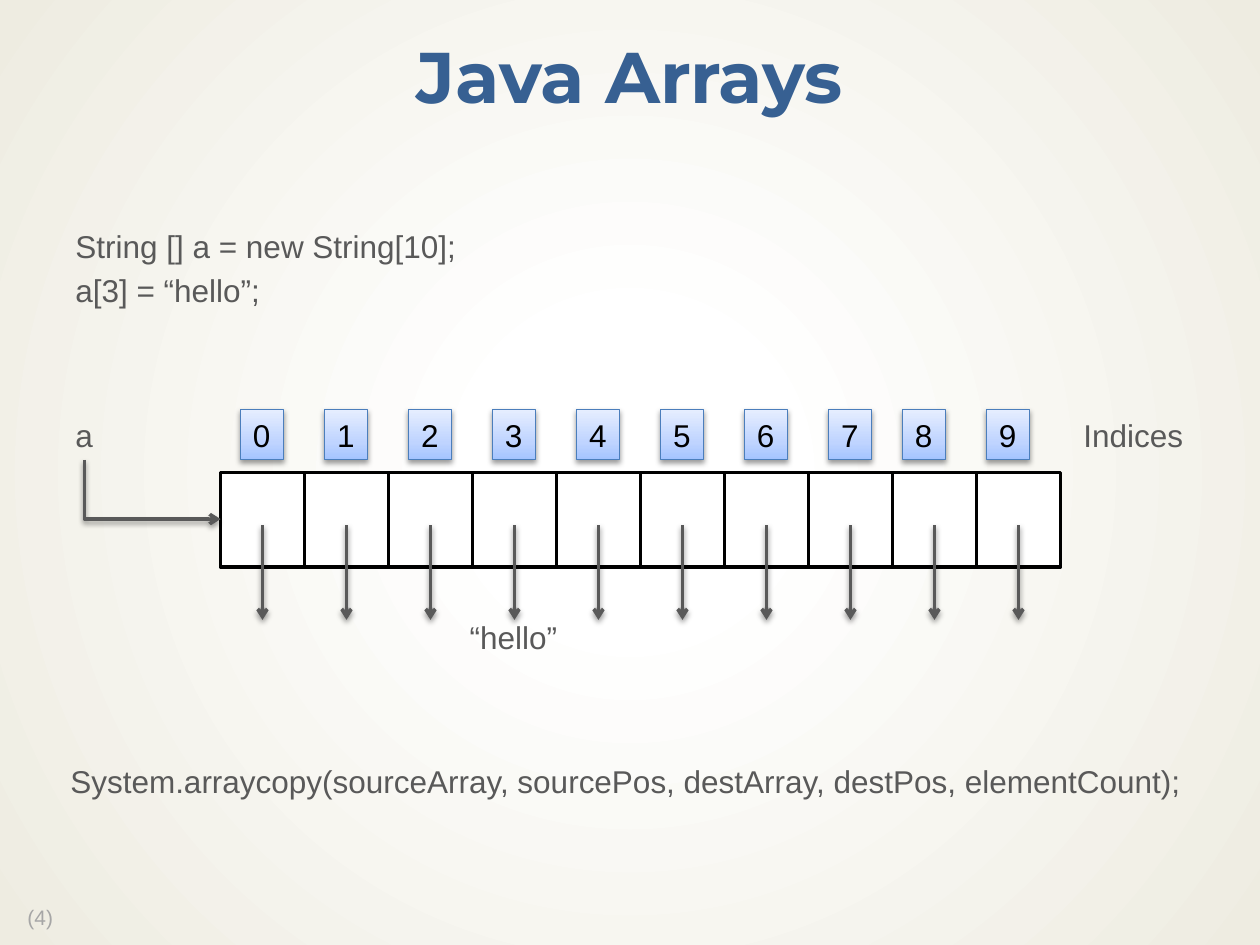
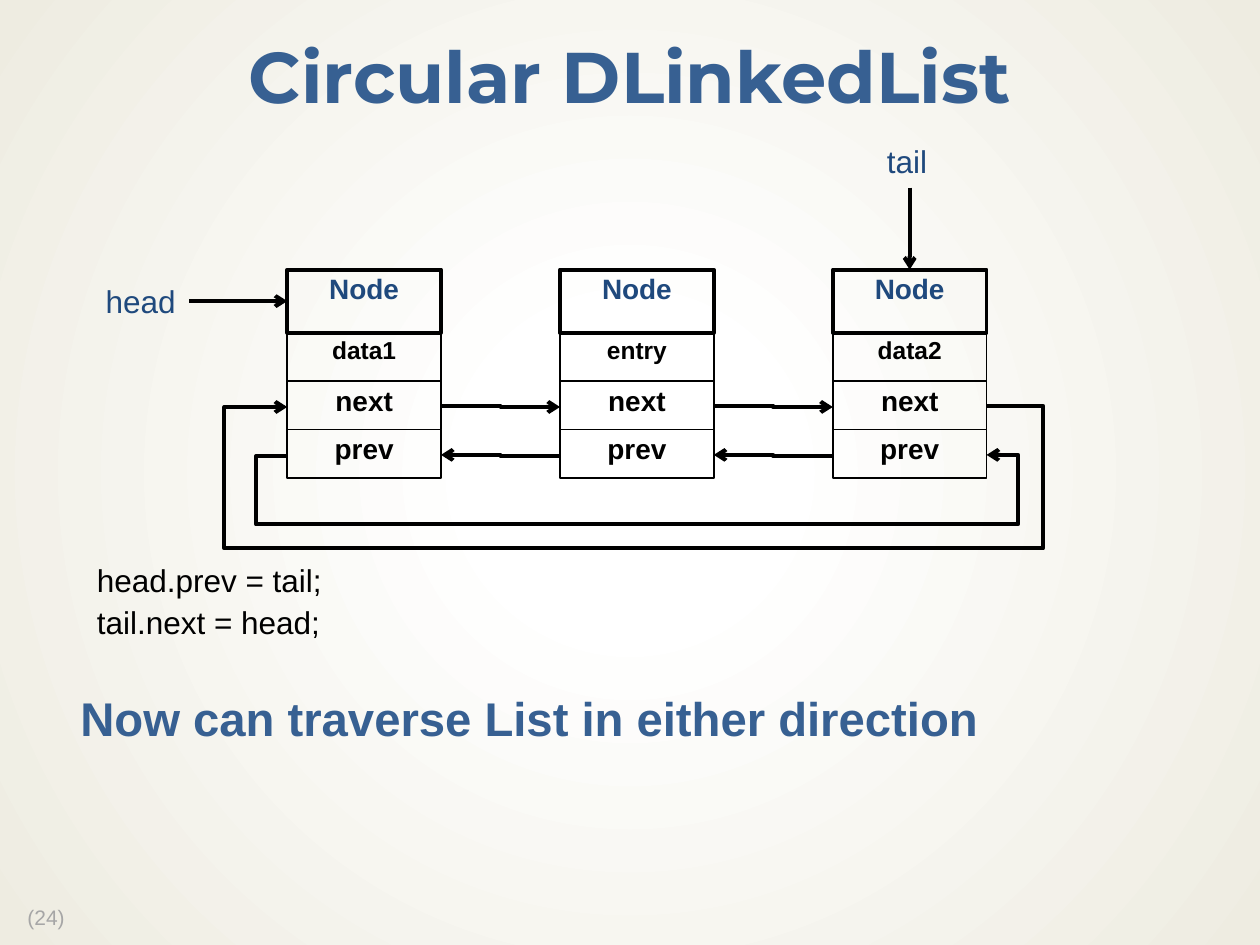
from lxml.etree import SubElement
from pptx import Presentation
from pptx.dml.color import RGBColor
from pptx.enum.shapes import MSO_CONNECTOR, MSO_SHAPE
from pptx.enum.text import MSO_ANCHOR, PP_ALIGN
from pptx.oxml.ns import qn
from pptx.util import Inches, Pt

# Content of the array slide
ARRAY_TITLE = "Java Arrays"
CODE = ["String [] a = new String[10];", "a[3] = “hello”;"]
CODE_WIDTHS = [3.25, 1.69]
ARRAY_COPY = "System.arraycopy(sourceArray, sourcePos, destArray, destPos, elementCount);"
CELL_COUNT = 10

# Content of the linked list slide
LIST_TITLE = "Circular DLinkedList"
NODES = ["data1", "entry", "data2"]
LINK_CODE = ["head.prev = tail;", "tail.next = head;"]
SUMMARY = "Now can traverse List in either direction"

# Shared look
W, H = 10, 7.5
BLUE, NAVY, GRAY, PALE, BLACK = "376092", "1F497D", "595959", "A6A6A6", "000000"
PAGE_STOPS = [(18, "FFFFFF", 53), (100, "EEECE1", 100)]
INDEX_STOPS = [(0, "A4C4FF", 100), (35, "BFD4FF", 100), (100, "E6EEFF", 100)]

# Grids: array cells and list nodes
CELL_X, CELL_Y, CELL_W, CELL_H = 1.75, 3.75, 2 / 3, 0.75
INDEX_Y, LABEL_H = 3.25, 0.4
NODE_X, NODE_Y, NODE_W, NODE_STEP = 2.28, 2.14, 1.22, 2.165
HEAD_H, FIELD_H = 0.5, 0.385


def rgb(color):
    return RGBColor.from_string(color)


def add(parent, tag, **attrs):
    return SubElement(parent, qn(tag), {k: str(v) for k, v in attrs.items()})


def set_gradient(fill, owner, stops, angle=None):
    """Linear at the given angle, or circular from the centre."""
    fill.gradient()
    grad = owner.find(".//" + qn("a:gradFill"))
    for child in list(grad):
        grad.remove(child)
    gs_list = add(grad, "a:gsLst")
    for pos, color, alpha in stops:
        clr = add(add(gs_list, "a:gs", pos=pos * 1000), "a:srgbClr", val=color)
        if alpha < 100:
            add(clr, "a:alpha", val=alpha * 1000)
    if angle is None:
        path = add(grad, "a:path", path="circle")
        add(path, "a:fillToRect", l=50000, t=50000, r=50000, b=50000)
    else:
        add(grad, "a:lin", ang=angle * 60000, scaled=0)


def add_shadow(effects):
    sh = add(effects, "a:outerShdw", blurRad=Pt(3.1), dist=Pt(1.6),
             dir=90 * 60000, rotWithShape=0)
    add(add(sh, "a:srgbClr", val=BLACK), "a:alpha", val=38000)


def write(sp, text, size=18, color=GRAY, bold=False, font="Arial", center=False,
          spacing=None, wrap=False, middle=False):
    tf = sp.text_frame
    tf.word_wrap = wrap
    tf.vertical_anchor = MSO_ANCHOR.MIDDLE if middle else MSO_ANCHOR.TOP
    p = tf.paragraphs[0]
    p.alignment = PP_ALIGN.CENTER if center else PP_ALIGN.LEFT
    if spacing:
        p.line_spacing = spacing
    r = p.add_run()
    r.text = text
    r.font.size, r.font.bold, r.font.name = Pt(size), bold, font
    r.font.color.rgb = rgb(color)


def label(s, text, x, y, w, h=LABEL_H, **fmt):
    write(s.shapes.add_textbox(Inches(x), Inches(y), Inches(w), Inches(h)), text, **fmt)


def box(s, x, y, w, h, line, weight, fill=None):
    sp = s.shapes.add_shape(MSO_SHAPE.RECTANGLE, Inches(x), Inches(y), Inches(w), Inches(h))
    sp.shadow.inherit = False
    if fill:
        sp.fill.solid()
        sp.fill.fore_color.rgb = rgb(fill)
    else:
        sp.fill.background()
    sp.line.color.rgb = rgb(line)
    sp.line.width = Pt(weight)
    return sp


def arrow(s, start, end, color=BLACK, weight=2.25, kind=MSO_CONNECTOR.STRAIGHT, shadow=False):
    c = s.shapes.add_connector(kind, *[Inches(v) for v in (*start, *end)])
    c.line.color.rgb = rgb(color)
    c.line.width = Pt(weight)
    spPr = c._element.spPr
    add(spPr.find(qn("a:ln")), "a:tailEnd", type="arrow")
    effects = add(spPr, "a:effectLst")
    if shadow:
        add_shadow(effects)
    return c


def geometry(c, preset, adjusts=()):
    geom = c._element.spPr.find(qn("a:prstGeom"))
    geom.set("prst", preset)
    av = geom.find(qn("a:avLst"))
    if av is None:
        av = add(geom, "a:avLst")
    for i, share in enumerate(adjusts, 1):
        add(av, "a:gd", name=f"adj{i}", fmla=f"val {round(share * 100000)}")


def elbow(s, start, end, lanes=None):
    """Sideways link; lanes (x out, y, x back) lead it around the nodes."""
    c = arrow(s, start, end, kind=MSO_CONNECTOR.ELBOW)
    (x1, y1), (x2, y2) = start, end
    if y2 < y1:  # an upward link is a half turn, not a vertical flip
        xfrm = c._element.spPr.find(qn("a:xfrm"))
        xfrm.attrib.pop("flipV", None)
        xfrm.set("rot", str(180 * 60000))
        xfrm.set("flipH", "1" if x2 > x1 else "0")
    if lanes:
        out, y, back = lanes
        geometry(c, "bentConnector5",
                 [(out - x1) / (x2 - x1), (y - y1) / (y2 - y1), (back - x1) / (x2 - x1)])


def corner(s, start, end, **fmt):
    """Link that goes down, then right."""
    c = arrow(s, start, end, kind=MSO_CONNECTOR.ELBOW, **fmt)
    (x1, y1), (x2, y2) = start, end
    w, h = y2 - y1, x2 - x1
    c.left, c.top = Inches((x1 + x2 - w) / 2), Inches((y1 + y2 - h) / 2)
    c.width, c.height = Inches(w), Inches(h)
    xfrm = c._element.spPr.find(qn("a:xfrm"))
    xfrm.set("rot", str(270 * 60000))
    xfrm.set("flipH", "1")
    geometry(c, "bentConnector2")


def new_slide(prs, title, number):
    s = prs.slides.add_slide(prs.slide_layouts[6])
    label(s, f"({number})", 0.12, 7.15, 1, 0.28, size=12, color=PALE, spacing=0.9, wrap=True)
    label(s, title, 0, 0.17, W, 0.94, size=41, color=BLUE, bold=True, font="Montserrat",
          center=True, spacing=0.9, wrap=True, middle=True)
    return s


def array_slide(prs):
    s = new_slide(prs, ARRAY_TITLE, 4)
    for i, (line, w) in enumerate(zip(CODE, CODE_WIDTHS)):
        label(s, line, 0.5, 1.75 + i * 0.35, w)

    # Cells, indices and references
    xs = [CELL_X + i * CELL_W for i in range(CELL_COUNT)]
    for x in xs:
        box(s, x, CELL_Y, CELL_W, CELL_H, BLACK, 2, "FFFFFF")
    for i, x in enumerate(xs):
        shift = 0.16 if i < 8 else 0.08
        sp = box(s, x + shift, INDEX_Y, 0.34, LABEL_H, "4B7EBC", 0.75)
        set_gradient(sp.fill, sp._element.spPr, INDEX_STOPS, 270)
        add_shadow(sp._element.spPr.find(qn("a:effectLst")))
        write(sp, str(i), color=BLACK)
    for x in xs:
        mid = x + CELL_W / 2
        arrow(s, (mid, 4.17), (mid, 4.92), GRAY, 2, shadow=True)

    # Labels around the array
    label(s, "Indices", 8.5, INDEX_Y, 1)
    label(s, "a", 0.5, INDEX_Y, 0.34)
    corner(s, (0.67, INDEX_Y + LABEL_H), (CELL_X, 4.12), color=GRAY, weight=2, shadow=True)
    label(s, "“hello”", 3.63, 4.86, 0.9)
    label(s, ARRAY_COPY, 0.46, 6, 9.08, wrap=True)


def list_slide(prs):
    s = new_slide(prs, LIST_TITLE, 24)
    label(s, SUMMARY, 0.54, 5.47, 8.9, 0.5, size=27, color=BLUE, bold=True,
          spacing=0.9, wrap=True)

    # Nodes: a header over three fields
    lefts = [NODE_X + i * NODE_STEP for i in range(len(NODES))]
    headers = []
    for x, data in zip(lefts, NODES):
        header = box(s, x, NODE_Y, NODE_W, HEAD_H, BLACK, 2.25)
        write(header, "Node", size=16, color=NAVY, bold=True, center=True, spacing=0.9, wrap=True)
        headers.append(header)
        for row, (text, size) in enumerate([(data, 14), ("next", 16), ("prev", 16)]):
            field = box(s, x, NODE_Y + HEAD_H + row * FIELD_H, NODE_W, FIELD_H, BLACK, 1)
            write(field, text, size=size, color=BLACK, bold=True, center=True,
                  spacing=0.9, wrap=True)

    # Links between neighbours, then around the ring
    next_y, prev_y, drop = 3.22, 3.62, 0.01
    for x, following in zip(lefts, lefts[1:]):
        elbow(s, (x + NODE_W, next_y), (following, next_y + drop))
        elbow(s, (following, prev_y), (x + NODE_W, prev_y - drop))
    first, last = lefts[0], lefts[-1] + NODE_W
    elbow(s, (last, next_y), (first, next_y + drop), (last + 0.45, 4.37, first - 0.5))
    elbow(s, (first, prev_y), (last, prev_y - drop), (first - 0.25, 4.17, last + 0.25))

    # Head and tail pointers
    label(s, "head", 0.74, 2.19, 0.76, color=NAVY)
    head_y = NODE_Y + HEAD_H / 2
    arrow(s, (1.5, head_y), (first, head_y)).end_connect(headers[0], 1)
    label(s, "tail", 6.94, 1.08, 0.52, color=NAVY)
    tail_x = lefts[-1] + NODE_W / 2
    arrow(s, (tail_x, 1.49), (tail_x, NODE_Y)).end_connect(headers[-1], 0)

    for i, line in enumerate(LINK_CODE):
        label(s, line, 0.67, 4.4 + i * 0.34, 2.05, color=BLACK)


def main():
    prs = Presentation()
    prs.slide_width, prs.slide_height = Inches(W), Inches(H)
    master = prs.slide_master
    set_gradient(master.background.fill, master._element, PAGE_STOPS)
    array_slide(prs)
    list_slide(prs)
    prs.save("out.pptx")


if __name__ == "__main__":
    main()
